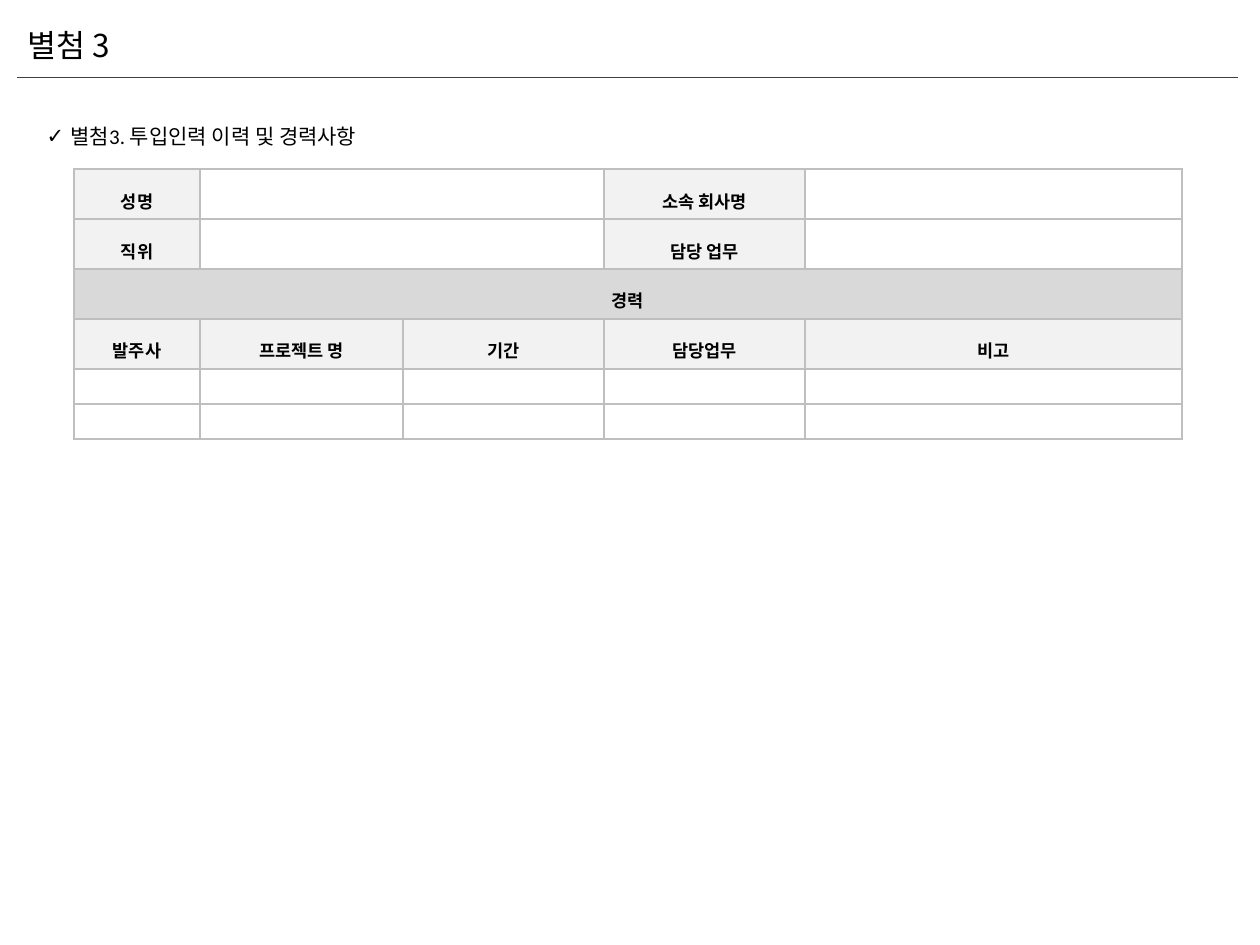
import pptx
import pptx.util
import pptx.dml.color
import pptx.enum.text
import pptx.enum.shapes
import pptx.oxml
import pptx.oxml.ns
import lxml.etree

COLORS = {"text": "000000", "rule": "404040", "border": "BFBFBF",
          "label": "F2F2F2", "section": "D9D9D9", "blank": "FFFFFF"}
HEADING = "별첨 3"
SUBHEADING = "별첨3. 투입인력 이력 및 경력사항"
CAREER_ROWS = [
    ["성명", "", "", "소속 회사명", ""],
    ["직위", "", "", "담당 업무", ""],
    ["경력", "", "", "", ""],
    ["발주사", "프로젝트 명", "기간", "담당업무", "비고"],
    [""] * 5,
    [""] * 5,
]
MERGES = [(0, 1, 2), (1, 1, 2), (2, 0, 4)]
SECTION_ROW = 2
COLUMN_WIDTHS = [126, 203, 201, 201, 377]
LABEL_HEIGHT, BLANK_HEIGHT = 50, 35
ALIGN = pptx.enum.text.PP_ALIGN
ANCHOR = pptx.enum.text.MSO_ANCHOR


def px(count):
    return pptx.util.Emu(round(count * 914400 / 126))


def rgb(name):
    return pptx.dml.color.RGBColor.from_string(COLORS[name])


def write(frame, text, size, font="Calibri", bold=False, align=ALIGN.LEFT, spacing=1.0):
    line = frame.paragraphs[0]
    line.alignment = align
    line.line_spacing = spacing
    line.space_before = pptx.util.Pt(0)
    if not text:
        line._p.get_or_add_endParaRPr().set("sz", str(size * 100))
        return line
    run = line.add_run()
    run.text = text
    run.font.size = pptx.util.Pt(size)
    run.font.name = font
    run.font.bold = bold
    run.font.color.rgb = rgb("text")
    return line


def place(holder, left, top, width, height):
    holder.left, holder.top, holder.width, holder.height = map(px, (left, top, width, height))
    frame = holder.text_frame
    frame.word_wrap = True
    frame.vertical_anchor = ANCHOR.TOP
    frame.auto_size = pptx.enum.text.MSO_AUTO_SIZE.SHAPE_TO_FIT_TEXT
    return frame


def add_bullet(line, symbol, indent):
    properties = line._p.get_or_add_pPr()
    properties.set("marL", str(indent))
    properties.set("indent", str(-indent))
    bullet = lxml.etree.SubElement(properties, pptx.oxml.ns.qn("a:buChar"))
    bullet.set("char", symbol)


def add_borders(cell):
    properties = cell._tc.get_or_add_tcPr()
    for side in ("lnL", "lnR", "lnT", "lnB"):
        properties.append(pptx.oxml.parse_xml(
            f'<a:{side} {pptx.oxml.ns.nsdecls("a")} w="12700"><a:solidFill>'
            f'<a:srgbClr val="{COLORS["border"]}"/></a:solidFill></a:{side}>'))


def add_career_table(slide):
    heights = [LABEL_HEIGHT if any(row) else BLANK_HEIGHT for row in CAREER_ROWS]
    table = slide.shapes.add_table(
        len(heights), len(COLUMN_WIDTHS), px(74), px(169),
        px(sum(COLUMN_WIDTHS)), px(sum(heights))).table
    table.first_row = table.horz_banding = False
    for column, width in zip(table.columns, COLUMN_WIDTHS):
        column.width = px(width)
    for r, labels in enumerate(CAREER_ROWS):
        table.rows[r].height = px(heights[r])
        for c, label in enumerate(labels):
            cell = table.cell(r, c)
            add_borders(cell)
            shade = "section" if r == SECTION_ROW else "label" if label else "blank"
            cell.fill.solid()
            cell.fill.fore_color.rgb = rgb(shade)
            cell.vertical_anchor = ANCHOR.MIDDLE
            write(cell.text_frame, label, 10, bold=True, align=ALIGN.CENTER,
                  spacing=1.5 if label else 1.0)
    for r, first, last in MERGES:
        table.cell(r, first).merge(table.cell(r, last))


def main():
    deck = pptx.Presentation()
    deck.slide_width, deck.slide_height = px(1260), px(945)
    slide = deck.slides.add_slide(deck.slide_layouts[1])
    heading, subheading = slide.placeholders

    write(place(heading, 15, 20, 407, 89), HEADING, 18, font="Noto Sans CJK KR")
    subheading_line = write(place(subheading, 34, 105, 644, 47), SUBHEADING, 12, spacing=1.5)
    add_bullet(subheading_line, "✓", px(24))

    rule = slide.shapes.add_connector(
        pptx.enum.shapes.MSO_CONNECTOR.STRAIGHT, px(17), px(77), px(1238), px(77))
    rule.line.color.rgb = rgb("rule")
    rule.line.width = pptx.util.Pt(0.5)
    lxml.etree.SubElement(rule._element.spPr, pptx.oxml.ns.qn("a:effectLst"))

    add_career_table(slide)
    deck.save("out.pptx")


if __name__ == "__main__":
    main()
